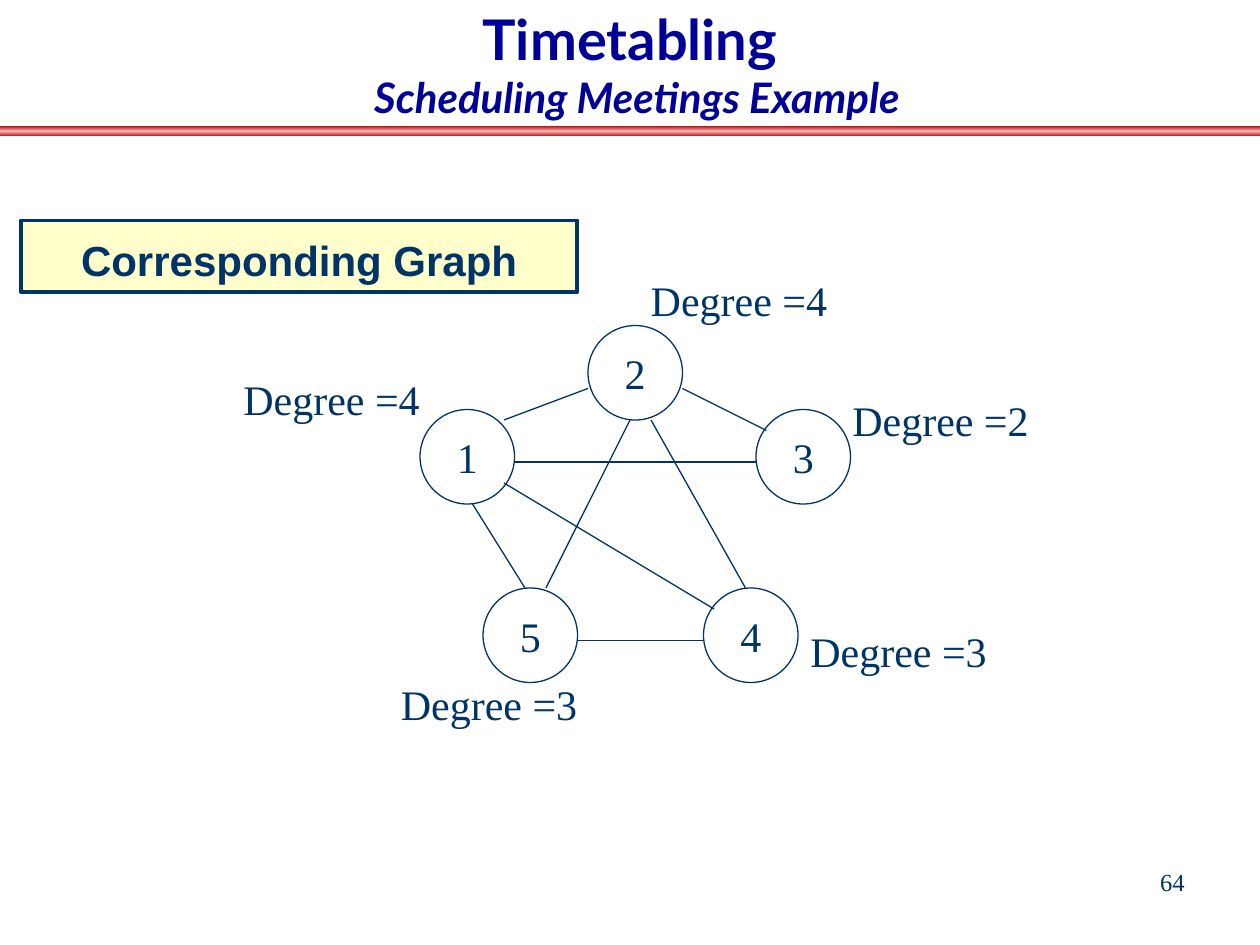
from copy import deepcopy

from lxml.etree import SubElement
from pptx import Presentation
from pptx.dml.color import RGBColor
from pptx.enum.shapes import MSO_CONNECTOR, MSO_SHAPE
from pptx.enum.text import MSO_ANCHOR, MSO_AUTO_SIZE, PP_ALIGN
from pptx.oxml.ns import qn
from pptx.util import Inches, Pt

COLUMNS, ROWS = 120, 90
UNIT = Inches(10) / COLUMNS
NAVY, TITLE_BLUE, RED, PINK, CREAM = "003366", "000099", "CC0000", "E7BCBC", "FFFFCC"
SERIF = "Times New Roman"
NODE_SIZE = 9

NODES = [("1", 40, 39), ("2", 56, 31), ("5", 46, 56), ("4", 67, 56), ("3", 72, 39)]
EDGES = [
    (48, 40, 56, 37),
    (65, 37, 73, 41),
    (49, 44, 72, 44),
    (48, 46, 68, 58),
    (45, 48, 50, 56),
    (60, 40, 52, 56),
    (62, 40, 71, 56),
    (55, 61, 67, 61),
]
DEGREES = [(4, 60.8, 25.6), (2, 80, 37), (4, 22, 35), (3, 37, 64), (3, 76, 59)]


def grid(*cells):
    """Turn grid columns and rows into slide lengths."""
    return [round(cell * UNIT) for cell in cells]


def color(value):
    """Make a colour from a hex string."""
    return RGBColor.from_string(value)


def add_span(para, text, size=24, font=SERIF, fill=NAVY, bold=None, italic=None):
    """Add formatted text to a paragraph."""
    span = para.add_run()
    span.text = text
    span.font.size = Pt(size)
    span.font.name = font
    span.font.bold = bold
    span.font.italic = italic
    span.font.color.rgb = color(fill)


def set_frame(shape, align=PP_ALIGN.LEFT, anchor=MSO_ANCHOR.TOP, wrap=True):
    """Set a shape's text layout and return its first paragraph."""
    frame = shape.text_frame
    frame.word_wrap = wrap
    frame.vertical_anchor = anchor
    para = frame.paragraphs[0]
    para.alignment = align
    return para


def add_box(page, place, **layout):
    """Add a text box and return its first paragraph."""
    return set_frame(page.shapes.add_textbox(*grid(*place)), **layout)


def add_outlined(page, kind, place, width):
    """Add an unfilled navy-outlined shape."""
    shape = page.shapes.add_shape(kind, *grid(*place))
    shape.shadow.inherit = False
    shape.fill.background()
    shape.line.color.rgb = color(NAVY)
    shape.line.width = Pt(width)
    return shape


def add_divider(page):
    """Add the red gradient bar below the title."""
    bar = page.shapes.add_shape(MSO_SHAPE.ROUNDED_RECTANGLE, *grid(0, 12, COLUMNS, 1))
    bar.adjustments[0] = 0
    bar.shadow.inherit = False
    bar.line.fill.background()
    bar.fill.gradient()
    bar.fill.gradient_angle = 90
    stops = bar.fill.gradient_stops
    for stop, position in zip(stops, (0, 0.5)):
        stop.color.rgb = color(PINK if position else RED)
        stop.position = position
    first, middle = bar.fill._fill._gradFill.gsLst
    last = deepcopy(first)
    last.set("pos", "100000")
    middle.addnext(last)


def add_heading(page):
    """Add the two-line slide title."""
    para = add_box(page, (3, 0, 115.3, 12.2), align=PP_ALIGN.CENTER, anchor=MSO_ANCHOR.BOTTOM)
    add_span(para, "Timetabling ", size=32, font="Lato", fill=TITLE_BLUE, bold=True)
    para.add_line_break()
    add_span(para, "Scheduling Meetings Example", font="Lato", fill=TITLE_BLUE, bold=True, italic=True)


def add_caption(page):
    """Add the framed caption of the graph."""
    caption = add_outlined(page, MSO_SHAPE.ROUNDED_RECTANGLE, (2, 21, 53, 6.8), 2.25)
    caption.adjustments[0] = 0
    caption.fill.solid()
    caption.fill.fore_color.rgb = color(CREAM)
    para = set_frame(caption, align=PP_ALIGN.CENTER, anchor=MSO_ANCHOR.BOTTOM)
    para.line_spacing = 0.9
    add_span(para, "Corresponding Graph", font="Arial", bold=True)


def add_node(page, name, left, top):
    """Add a numbered graph node."""
    node = add_outlined(page, MSO_SHAPE.OVAL, (left, top, NODE_SIZE, NODE_SIZE), 0.75)
    add_span(set_frame(node, align=PP_ALIGN.CENTER, anchor=MSO_ANCHOR.MIDDLE, wrap=False), name)


def add_edge(page, ends):
    """Add a graph edge between two grid points."""
    edge = page.shapes.add_connector(MSO_CONNECTOR.STRAIGHT, *grid(*ends))
    edge.line.color.rgb = color(NAVY)
    edge.line.width = Pt(0.75)
    SubElement(edge._element.spPr, qn("a:effectLst"))


def add_degree(page, degree, left, top):
    """Add a node's degree label."""
    label = page.shapes.add_textbox(*grid(left, top, 19.2, 6))
    add_span(set_frame(label, wrap=False), f"Degree ={degree}")
    label.text_frame.auto_size = MSO_AUTO_SIZE.SHAPE_TO_FIT_TEXT


def main():
    """Build and save the slide."""
    deck = Presentation()
    deck.slide_width, deck.slide_height = grid(COLUMNS, ROWS)
    page = deck.slides.add_slide(deck.slide_layouts[6])
    add_divider(page)
    add_span(add_box(page, (86, 82, 28, 6.2), align=PP_ALIGN.RIGHT), "64", size=14)
    add_caption(page)
    for node in NODES:
        add_node(page, *node)
    for ends in EDGES:
        add_edge(page, ends)
    for degree in DEGREES:
        add_degree(page, *degree)
    add_heading(page)
    deck.save("out.pptx")


if __name__ == "__main__":
    main()
